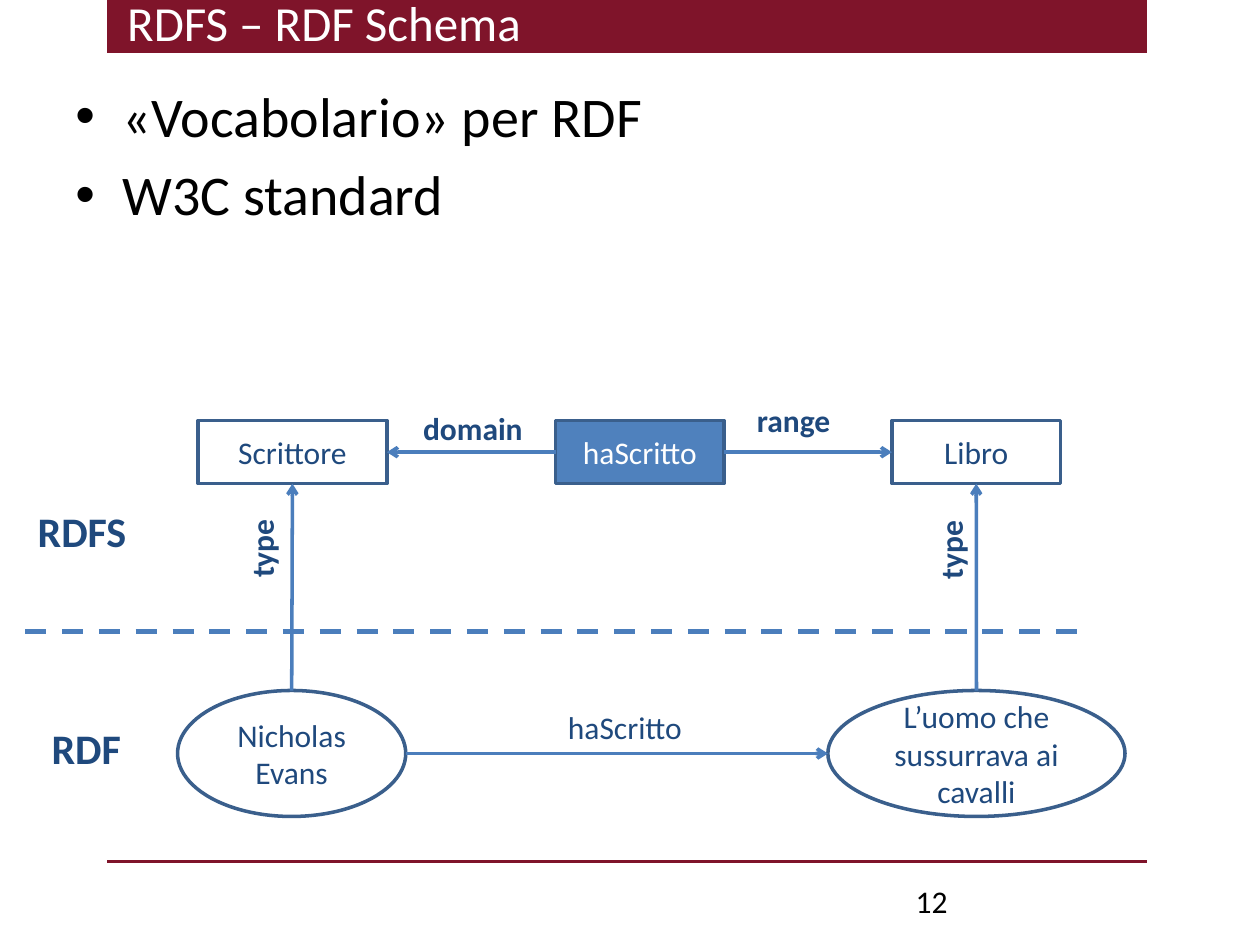
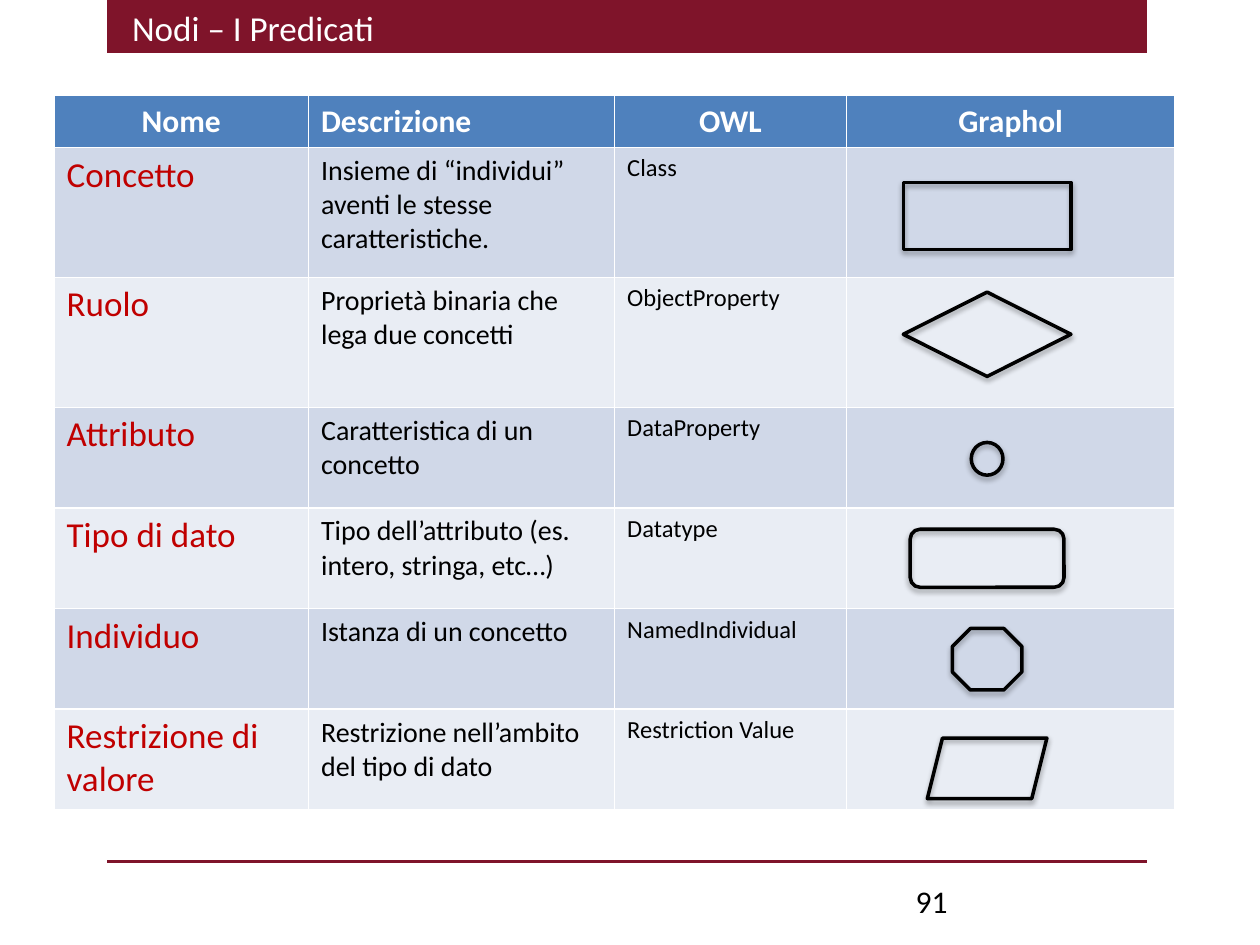
"""Build two slides on RDF Schema and the Graphol node types."""
from dataclasses import dataclass

from lxml import etree
from pptx import Presentation
from pptx.dml import color
from pptx.enum import dml, shapes, text
from pptx.oxml import ns
from pptx.util import Cm, Pt


@dataclass(frozen=True)
class Theme:
    """Colours and type sizes used on both slides."""
    font: str = "Calibri"
    maroon: str = "7F142A"
    white: str = "FFFFFF"
    black: str = "000000"
    red: str = "C00000"
    navy: str = "1F497D"
    blue: str = "4F81BD"
    outline: str = "3A5F8C"
    arrow: str = "4B7EBC"
    bands: tuple = ("D0D8E8", "E9EDF4")
    bullet: int = 32
    level: int = 24
    name: int = 20
    label: int = 18
    description: int = 16
    owl: int = 14


THEME = Theme()
SHAPE = shapes.MSO_SHAPE
BAND_LEFT, BAND_WIDTH = 2.16, 20.96

BULLETS = ["«Vocabolario» per RDF", "W3C standard"]
CLASS_TOP, CLASS_HEIGHT = 8.48, 1.27
INSTANCE_TOP, INSTANCE_HEIGHT = 13.92, 2.54
CLASS_ROW = (SHAPE.RECTANGLE, CLASS_TOP, CLASS_HEIGHT)
INSTANCE_ROW = (SHAPE.OVAL, INSTANCE_TOP, INSTANCE_HEIGHT)
NODES = {
    "writer": ("Scrittore", CLASS_ROW, 3.99, 3.81, None),
    "property": ("haScritto", CLASS_ROW, 11.2, 3.4, THEME.blue),
    "book": ("Libro", CLASS_ROW, 17.98, 3.4, None),
    "author": ("Nicholas Evans", INSTANCE_ROW, 3.58, 4.6, None),
    "novel": ("L’uomo che sussurrava ai cavalli", INSTANCE_ROW, 16.69, 5.99, None),
}
ARROWS = [
    ("property", "left", "writer", "right"),
    ("property", "right", "book", "left"),
    ("author", "top", "writer", "bottom"),
    ("novel", "top", "book", "bottom"),
    ("author", "right", "novel", "left"),
]
ARROW_LABELS = [
    ("domain", (8.28, 8.13, 2.54, 1.02), True, 0),
    ("range", (15.01, 7.95, 2.01, 1.02), True, 0),
    ("type", (4.42, 10.54, 1.7, 1.02), True, 270),
    ("type", (18.31, 10.57, 1.7, 1.02), True, 270),
    ("haScritto", (11.2, 14.15, 2.84, 1.02), False, 0),
]
LEVELS = [("RDFS", (0.51, 10.06, 2.79, 1.27)), ("RDF", (0.79, 14.45, 2.21, 1.27))]
DIVIDER = ((0.51, 12.73), (21.77, 12.73))

HEADERS = ["Nome", "Descrizione", "OWL", "Graphol"]
PREDICATES = [
    ("Concetto", "Insieme di “individui” aventi le stesse caratteristiche.", "Class"),
    ("Ruolo", "Proprietà binaria che lega due concetti", "ObjectProperty"),
    ("Attributo", "Caratteristica di un concetto", "DataProperty"),
    ("Tipo di dato", "Tipo dell’attributo (es. intero, stringa, etc…)", "Datatype"),
    ("Individuo", "Istanza di un concetto", "NamedIndividual"),
    ("Restrizione di valore", "Restrizione nell’ambito del tipo di dato", "Restriction Value"),
]
COLUMN_WIDTHS = [5.13, 6.17, 4.67, 6.63]
ROW_HEIGHTS = [1.04] + [2.62] * 2 + [2.03] * 4
SYMBOL_CENTRE = 19.9
SYMBOLS = [
    (SHAPE.RECTANGLE, 3.68, 3.38, 1.35),
    (SHAPE.DIAMOND, 5.89, 3.38, 1.7),
    (SHAPE.OVAL, 8.92, 0.64, 0.66),
    (SHAPE.ROUNDED_RECTANGLE, 10.67, 3.1, 1.17),
    (SHAPE.OCTAGON, 12.67, 1.4, 1.24),
    (SHAPE.PARALLELOGRAM, 14.88, 2.41, 1.22),
]


def rgb(value):
    """Turn a hex string into a colour."""
    return color.RGBColor.from_string(value)


def style(paragraph, size, colour, bold=False, align=text.PP_ALIGN.LEFT):
    """Set the font and alignment of a paragraph."""
    paragraph.alignment = align
    font = paragraph.font
    font.name, font.size, font.bold = THEME.font, Pt(size), bold
    font.color.rgb = rgb(colour)


def add_text(slide, content, box, size, colour, bold=False, wrap=True):
    """Add a text box holding one paragraph."""
    shape = slide.shapes.add_textbox(*map(Cm, box))
    shape.text_frame.word_wrap = wrap
    shape.text_frame.text = content
    style(shape.text_frame.paragraphs[0], size, colour, bold)
    return shape


def add_shape(slide, kind, box, fill=None, line=None):
    """Add a preset shape with an optional fill and outline."""
    shape = slide.shapes.add_shape(kind, *map(Cm, box))
    for part, colour in ((shape.fill, fill), (shape.line.fill, line)):
        if colour:
            part.solid()
            part.fore_color.rgb = rgb(colour)
        else:
            part.background()
    if line:
        shape.line.width = Pt(2)
    return shape


def add_line(slide, start, end, colour, width=2, dash=None, arrow=False):
    """Add a straight line, with an arrowhead at its end if wanted."""
    connector = slide.shapes.add_connector(
        shapes.MSO_CONNECTOR.STRAIGHT, *map(Cm, (*start, *end)))
    connector.line.color.rgb = rgb(colour)
    connector.line.width = Pt(width)
    if dash:
        connector.line.dash_style = dash
    properties = connector.element.spPr
    if arrow:
        outline = properties.find(ns.qn("a:ln"))
        etree.SubElement(outline, ns.qn("a:tailEnd"), type="arrow")
    etree.SubElement(properties, ns.qn("a:effectLst"))


def add_slide(presentation, heading, box, size, number):
    """Add a slide with its band, title, footer rule and number."""
    slide = presentation.slides.add_slide(presentation.slide_layouts[5])
    band = add_shape(slide, SHAPE.RECTANGLE, (BAND_LEFT, 0, BAND_WIDTH, 1.07), THEME.maroon)
    band.shadow.inherit = False
    title = slide.shapes.title
    title.element.addprevious(band.element)
    title.left, title.top, title.width, title.height = map(Cm, box)
    frame = title.text_frame
    frame.text = heading
    frame.auto_size = text.MSO_AUTO_SIZE.NONE
    frame.vertical_anchor = text.MSO_ANCHOR.TOP
    style(frame.paragraphs[0], size, THEME.white)
    add_line(slide, (BAND_LEFT, 17.37), (BAND_LEFT + BAND_WIDTH, 17.37), THEME.maroon)
    add_text(slide, number, (18.21, 17.65, 5.92, 1.02), THEME.label, THEME.black)
    return slide


def add_bullets(slide):
    """Add the bulleted list."""
    frame = slide.shapes.add_textbox(*map(Cm, (1.27, 1.52, 22.86, 4.8))).text_frame
    frame.word_wrap = True
    for index, content in enumerate(BULLETS):
        paragraph = frame.add_paragraph() if index else frame.paragraphs[0]
        paragraph.text = content
        properties = paragraph._p.get_or_add_pPr()
        properties.set("marL", str(Cm(0.95)))
        properties.set("indent", str(-Cm(0.95)))
        etree.SubElement(properties, ns.qn("a:buFont"), typeface="Arial")
        etree.SubElement(properties, ns.qn("a:buChar"), char="•")
        if index:
            paragraph.space_before = Pt(0.2 * THEME.bullet)
        style(paragraph, THEME.bullet, THEME.black)


def edge(node, side):
    """Return the midpoint of one side of a node."""
    _, (_, top, height), left, width, _ = NODES[node]
    across, down = {"left": (0, 0.5), "right": (1, 0.5),
                    "top": (0.5, 0), "bottom": (0.5, 1)}[side]
    return left + across * width, top + down * height


def add_diagram(slide):
    """Draw the RDFS classes above the RDF instances."""
    for content, (kind, top, height), left, width, fill in NODES.values():
        shape = add_shape(slide, kind, (left, top, width, height), fill, THEME.outline)
        shape.shadow.inherit = False
        frame = shape.text_frame
        frame.word_wrap = True
        frame.vertical_anchor = text.MSO_ANCHOR.MIDDLE
        frame.text = content
        style(frame.paragraphs[0], THEME.label, THEME.white if fill else THEME.navy,
              align=text.PP_ALIGN.CENTER)
    add_line(slide, *DIVIDER, THEME.arrow, 3, dml.MSO_LINE.DASH)
    for source, source_side, target, target_side in ARROWS:
        add_line(slide, edge(source, source_side), edge(target, target_side),
                 THEME.arrow, arrow=True)
    for content, box, bold, rotation in ARROW_LABELS:
        label = add_text(slide, content, box, THEME.label, THEME.navy, bold, wrap=False)
        label.rotation = rotation
    for content, box in LEVELS:
        add_text(slide, content, box, THEME.level, THEME.navy, bold=True)


def fill_cell(cell, content, fill, *font):
    """Write and colour one table cell."""
    cell.fill.solid()
    cell.fill.fore_color.rgb = rgb(fill)
    cell.text = content
    style(cell.text_frame.paragraphs[0], *font)


def add_predicates(slide):
    """Add the predicate table and the Graphol symbols over its last column."""
    table = slide.shapes.add_table(
        len(ROW_HEIGHTS), len(COLUMN_WIDTHS), Cm(1.09), Cm(1.93),
        Cm(sum(COLUMN_WIDTHS)), Cm(sum(ROW_HEIGHTS))).table
    for column, width in zip(table.columns, COLUMN_WIDTHS):
        column.width = Cm(width)
    for row, height in zip(table.rows, ROW_HEIGHTS):
        row.height = Cm(height)
    for column, content in enumerate(HEADERS):
        align = text.PP_ALIGN.LEFT if column == 1 else text.PP_ALIGN.CENTER
        fill_cell(table.cell(0, column), content, THEME.blue,
                  THEME.label, THEME.white, True, align)
    fonts = [(THEME.name, THEME.red), (THEME.description, THEME.black),
             (THEME.owl, THEME.black), (THEME.owl, THEME.black)]
    for row, predicate in enumerate(PREDICATES):
        for column, content in enumerate((*predicate, "")):
            fill_cell(table.cell(row + 1, column), content,
                      THEME.bands[row % 2], *fonts[column])
    for kind, top, width, height in SYMBOLS:
        add_shape(slide, kind, (SYMBOL_CENTRE - width / 2, top, width, height),
                  line=THEME.black)


def main():
    """Build and save the presentation."""
    presentation = Presentation()
    presentation.slide_width, presentation.slide_height = Cm(25.4), Cm(19.05)
    schema = add_slide(presentation, "RDFS – RDF Schema", (2.31, -0.28, 18.39, 1.75), 28, "12")
    add_bullets(schema)
    add_diagram(schema)
    nodes = add_slide(presentation, "Nodi – I Predicati", (2.41, 0, 18.39, 1.12), 20, "91")
    add_predicates(nodes)
    presentation.save("out.pptx")


if __name__ == "__main__":
    main()
